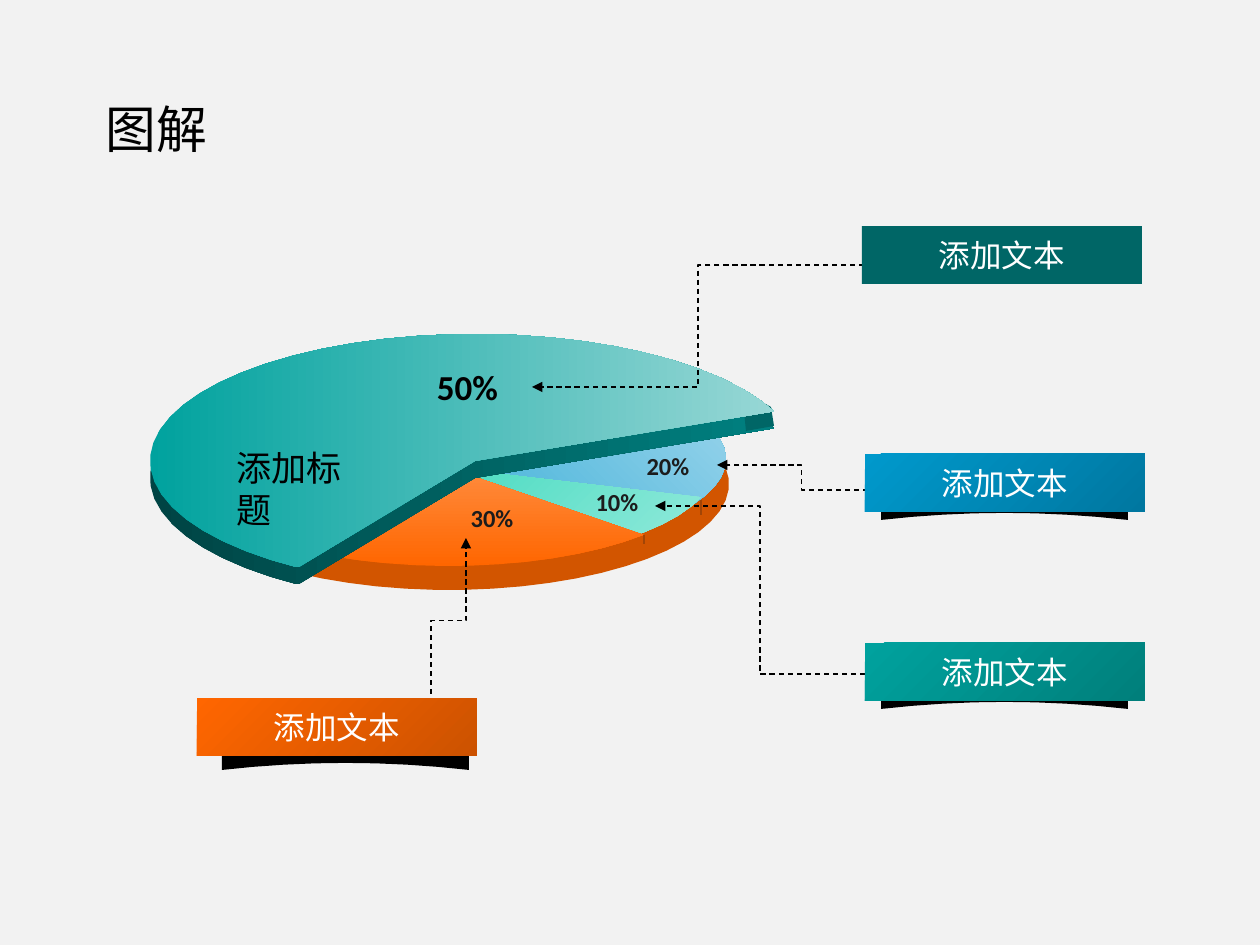
from dataclasses import dataclass
from math import cos, radians, sin

from lxml.etree import SubElement
from pptx import Presentation
from pptx.dml.color import RGBColor
from pptx.enum.dml import MSO_LINE
from pptx.enum.shapes import MSO_CONNECTOR as CONN, MSO_SHAPE as SHAPE
from pptx.enum.text import MSO_ANCHOR as ANCHOR, MSO_AUTO_SIZE as AUTO, PP_ALIGN as ALIGN
from pptx.oxml.ns import qn
from pptx.util import Emu, Pt


@dataclass(frozen=True)
class Theme:
    font: str = "Calibri"
    background: str = "F2F2F2"
    ink: str = "000000"
    label: str = "1C1C1C"
    white: str = "FFFFFF"
    rim: str = "D25500"
    edge: str = "006666"
    blue: tuple = ("0099CC", "9FD6EC")
    mint: tuple = ("94EADC", "00CCA5")
    orange: tuple = ("FF6600", "FFB27F")
    teal: tuple = ("00A29E", "97D7D5")
    teal_side: tuple = ("004444", "008080")
    blue_card: tuple = ("0099CC", "0077A0")
    teal_card: tuple = ("00A29E", "007F7B")
    orange_card: tuple = ("FF6600", "CC5200")
    title_size: int = 29
    large: int = 20
    card_size: int = 18
    small: int = 14
    line: float = 0.75


T = Theme()
CARD_W, CARD_H = 280, 58
SHADOW_W, SHADOW_H = 247, 28
ARC_STEP = 6


def px(n):
    return Emu(round(n * 914400 / 126))


def rgb(color):
    return RGBColor.from_string(color)


def paint(sp, color, angle=0):
    """Fill with one colour, or with a pair as a gradient at a counter-clockwise angle."""
    if isinstance(color, str):
        sp.fill.solid()
        sp.fill.fore_color.rgb = rgb(color)
    else:
        sp.fill.gradient()
        sp.fill.gradient_angle = angle
        for stop, c in zip(sp.fill.gradient_stops, color):
            stop.color.rgb = rgb(c)
    sp.line.fill.background()
    sp.shadow.inherit = False


def write(sp, text, size, color=T.ink, bold=False, align=ALIGN.CENTER, wrap=True):
    tf = sp.text_frame
    tf.word_wrap = wrap
    p = tf.paragraphs[0]
    p.alignment = align
    r = p.add_run()
    r.text = text
    r.font.name, r.font.size, r.font.bold = T.font, Pt(size), bold
    r.font.color.rgb = rgb(color)


def add_text(slide, x, y, w, h, text, size, **fmt):
    sp = slide.shapes.add_textbox(px(x), px(y), px(w), px(h))
    write(sp, text, size, **fmt)
    sp.text_frame.auto_size = AUTO.SHAPE_TO_FIT_TEXT


def add_polygon(slide, points, color, angle=0):
    start, *rest = [(px(x), px(y)) for x, y in points]
    builder = slide.shapes.build_freeform(*start)
    builder.add_line_segments(rest, close=True)
    paint(builder.convert_to_shape(), color, angle)


def add_sector(slide, cx, cy, rx, ry, start, end, color, angle=0):
    """Elliptical wedge, clockwise from start to end in degrees."""
    n = round((end - start) / ARC_STEP)
    turns = [radians(start + (end - start) * i / n) for i in range(n + 1)]
    arc = [(cx + rx * cos(a), cy + ry * sin(a)) for a in turns]
    add_polygon(slide, [(cx, cy), *arc], color, angle)


def add_curled_shadow(slide, x, y):
    """Card shadow whose lower edge bows upwards as a parabola."""
    half, bow = SHADOW_W / 2, 7
    lower = [(x + half * (1 + t / 4), y + SHADOW_H - bow * (1 - (t / 4) ** 2))
             for t in range(4, -5, -1)]
    upper = [(x, y + 8), (x + half, y), (x + SHADOW_W, y + 8)]
    add_polygon(slide, upper + lower, T.ink)


def add_card(slide, x, y, color, shadow=None):
    if shadow:
        add_curled_shadow(slide, x + shadow[0], y + shadow[1])
    sp = slide.shapes.add_shape(SHAPE.RECTANGLE, px(x), px(y), px(CARD_W), px(CARD_H))
    paint(sp, color, 315)
    sp.text_frame.vertical_anchor = ANCHOR.MIDDLE
    write(sp, "添加文本", T.card_size, color=T.white, wrap=False)


def add_line(slide, kind, x1, y1, x2, y2, color):
    c = slide.shapes.add_connector(kind, px(x1), px(y1), px(x2), px(y2))
    c.line.width = Pt(T.line)
    c.line.color.rgb = rgb(color)
    SubElement(c._element.spPr, qn("a:effectLst"))
    return c


def add_tick(slide, x, y1, y2):
    c = add_line(slide, CONN.STRAIGHT, x, y1, x, y2, T.label)
    clr = c.line._ln.find(".//" + qn("a:srgbClr"))
    SubElement(clr, qn("a:alpha"), val="40000")


def add_leader(slide, x1, y1, x2, y2, upward=False):
    """Dashed elbow arrow; upward leaves the start vertically, to the upper right."""
    if upward:
        cx, cy = (x1 + x2) / 2, (y1 + y2) / 2
        w, h = y1 - y2, x2 - x1
        x1, y1, x2, y2 = cx - w / 2, cy - h / 2, cx + w / 2, cy + h / 2
    c = add_line(slide, CONN.ELBOW, x1, y1, x2, y2, T.ink)
    if upward:
        c._element.spPr.xfrm.set("rot", str(270 * 60000))
    c.line.dash_style = MSO_LINE.DASH
    SubElement(c.line._ln, qn("a:tailEnd"), type="triangle")


def add_pie(slide):
    add_sector(slide, 449, 484, 280, 106, -33, 309, T.rim)
    add_sector(slide, 457, 459, 269, 95, -19, 333, T.blue, 45)
    add_sector(slide, 449, 468, 265, 95, 18, 333, T.mint, 135)
    add_sector(slide, 449, 468, 266, 98, 43, 333, T.orange, 90)
    add_tick(slide, 701, 500, 515)
    add_tick(slide, 644, 535, 544)
    add_sector(slide, 475, 478, 325, 127, 123, 337, T.teal_side)
    add_polygon(slide, [(771, 407), (774, 426), (746, 431), (742, 391)], T.edge)
    add_sector(slide, 475, 461, 325, 127, 123, 337, T.teal)


def main():
    prs = Presentation()
    prs.slide_width, prs.slide_height = px(1260), px(945)
    s = prs.slides.add_slide(prs.slide_layouts[6])
    s.background.fill.solid()
    s.background.fill.fore_color.rgb = rgb(T.background)

    add_pie(s)
    add_text(s, 403, 359, 129, 54, "50%", T.large, bold=True)
    for x, y, w, share in [(575, 481, 84, "10%"), (620, 445, 96, "20%"),
                           (446, 497, 92, "30%")]:
        add_text(s, x, y, w, 42, share, T.small, color=T.label, bold=True)

    add_leader(s, 864, 265, 532, 387)
    add_leader(s, 886, 490, 717, 465)
    add_leader(s, 865, 674, 655, 506)
    add_leader(s, 431, 703, 466, 538, upward=True)

    add_card(s, 862, 226, T.edge)
    add_card(s, 865, 454, T.blue_card, shadow=(16, 38))
    add_card(s, 865, 643, T.teal_card, shadow=(16, 38))
    add_card(s, 197, 698, T.orange_card, shadow=(25, 44))

    add_text(s, 224, 440, 165, 54, "添加标题", T.large, align=ALIGN.LEFT, wrap=False)
    add_text(s, 93, 92, 466, 73, "图解", T.title_size, align=ALIGN.LEFT)
    prs.save("out.pptx")


if __name__ == "__main__":
    main()
